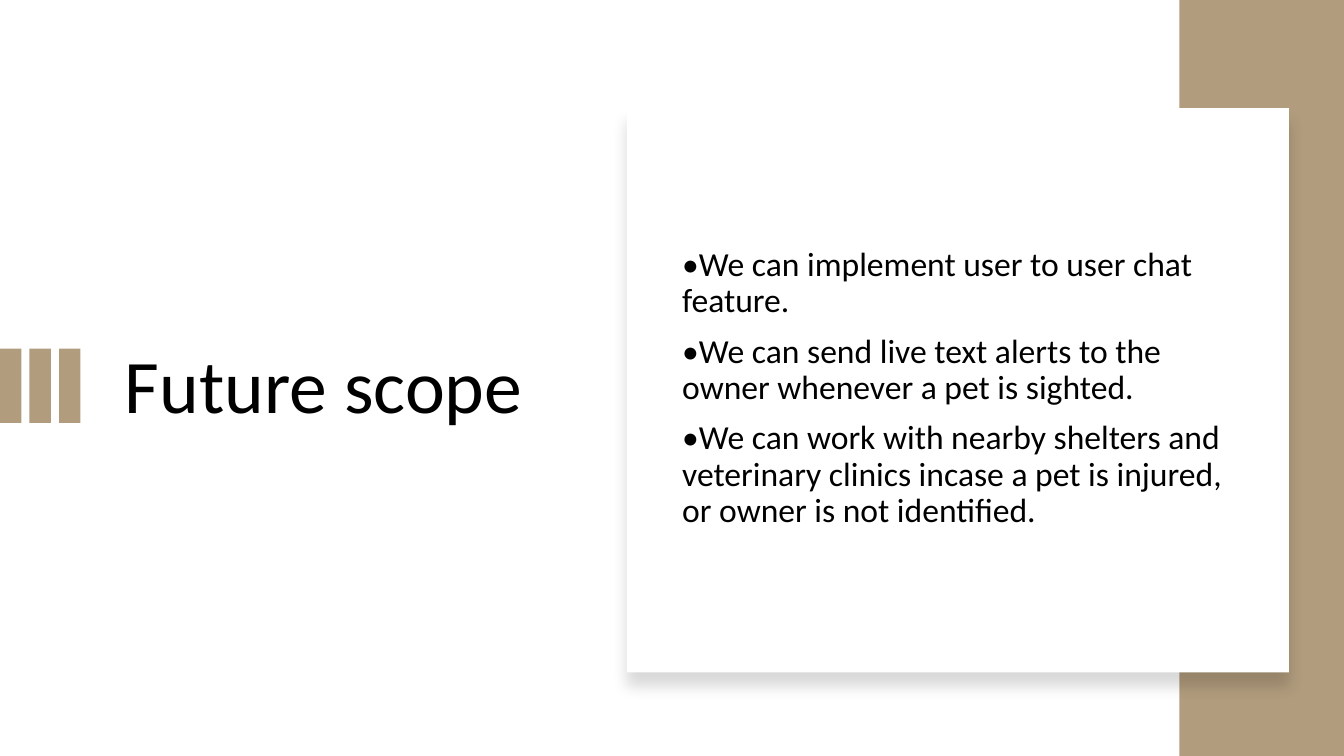
import pptx
import pptx.util
import pptx.dml.color
import pptx.enum.shapes
import pptx.enum.text
import pptx.oxml

Pt = pptx.util.Pt
TAN, WHITE, BLACK = "B19C7D", "FFFFFF", "000000"
POINTS = [
    "•We can implement user to user chat feature.",
    "•We can send live text alerts to the owner whenever a pet is sighted.",
    "•We can work with nearby shelters and veterinary clinics incase a pet is injured, "
    "or owner is not identified.",
]
SHADOW = (
    '<a:effectLst xmlns:a="http://schemas.openxmlformats.org/drawingml/2006/main">'
    '<a:outerShdw blurRad="{}" dist="{}" dir="5400000" algn="t" rotWithShape="0">'
    '<a:srgbClr val="{}"><a:alpha val="15000"/></a:srgbClr>'
    '</a:outerShdw></a:effectLst>'
)


def tint(code):
    return pptx.dml.color.RGBColor.from_string(code)


def assign(item, values):
    for name, value in values.items():
        setattr(item, name, value)


class Deck:
    font = "Calibri"

    def __init__(self, width, height):
        self.file = pptx.Presentation()
        assign(self.file, {"slide_width": Pt(width), "slide_height": Pt(height)})
        self.slide = self.file.slides.add_slide(self.file.slide_layouts[6])

    def rect(self, left, top, width, height, color):
        kind = pptx.enum.shapes.MSO_SHAPE.RECTANGLE
        shape = self.slide.shapes.add_shape(kind, Pt(left), Pt(top), Pt(width), Pt(height))
        shape.shadow.inherit = False
        shape.fill.solid()
        shape.fill.fore_color.rgb = tint(color)
        shape.line.fill.background()
        return shape

    def card(self, left, top, width, height):
        """Add a white panel with a soft shadow below it."""
        props = self.rect(left, top, width, height, WHITE).element.spPr
        old = props.find(pptx.oxml.ns.qn("a:effectLst"))
        new = pptx.oxml.parse_xml(SHADOW.format(Pt(11), Pt(10), BLACK))
        props.replace(old, new)

    def text(self, left, top, width, height, lines, size, gap=0):
        box = self.slide.shapes.add_textbox(Pt(left), Pt(top), Pt(width), Pt(height))
        frame = box.text_frame
        anchor = pptx.enum.text.MSO_ANCHOR.MIDDLE
        assign(frame, {"word_wrap": True, "vertical_anchor": anchor})
        frame.text = "\n".join(lines)
        for para in frame.paragraphs:
            assign(para, {"line_spacing": 0.9, "space_before": Pt(gap)})
            assign(para.font, {"name": self.font, "size": Pt(size)})
            para.font.color.rgb = tint(BLACK)


def main():
    deck = Deck(960, 540)
    top, height = 105.1, 344.9
    deck.text(82.1, top, 306.7, height, ["Future scope"], 54)
    for col in range(3):
        deck.rect(col * 21.1, 249.1, 15.3, 53, TAN)
    deck.rect(842.4, 0, 117.6, 540, TAN)
    deck.card(447.8, 77.2, 473, 403.2)
    deck.text(480.2, top, 414, height, POINTS, 24, 10)
    deck.file.save("out.pptx")


if __name__ == "__main__":
    main()
